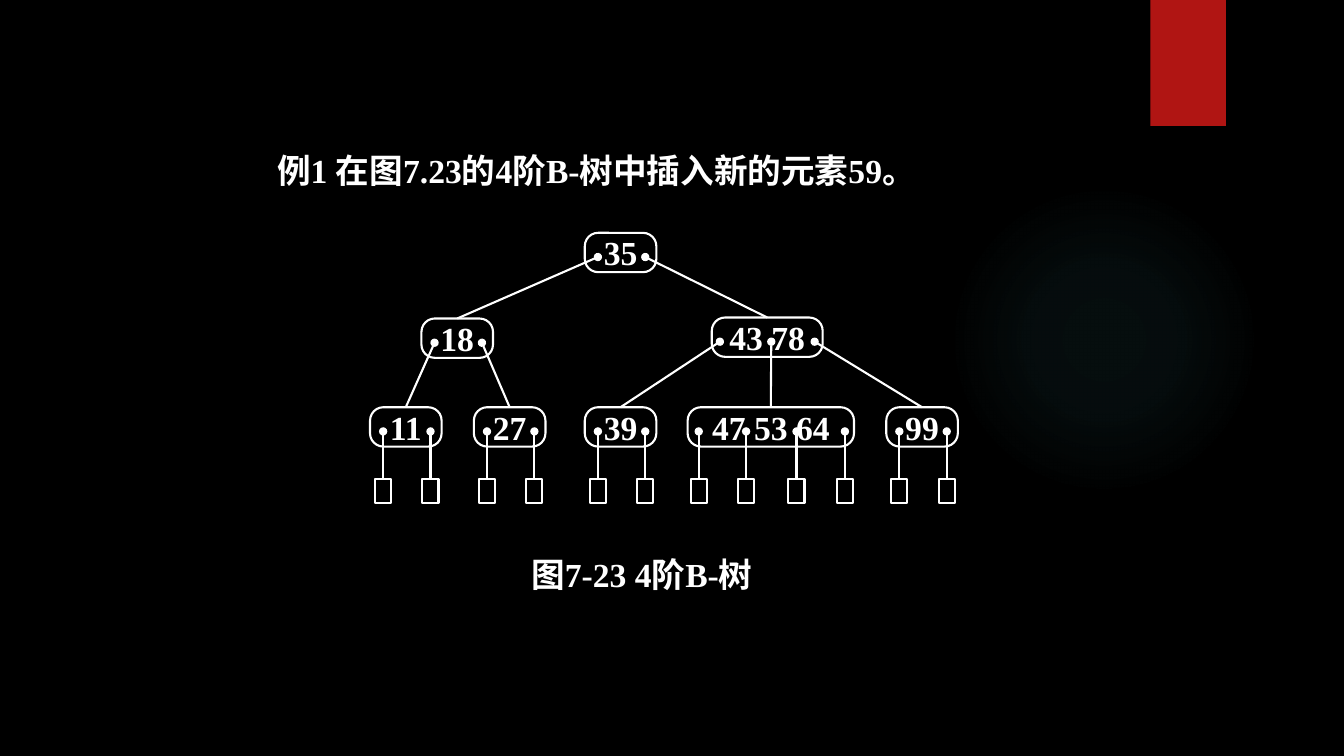
"""Build a slide showing a 4th-order B-tree before inserting the element 59."""
from lxml import etree
from pptx import Presentation
from pptx import util as u
from pptx.dml.color import RGBColor
from pptx.enum import shapes, text
from pptx.oxml import ns

TITLE = "例1 在图7.23的4阶B-树中插入新的元素59。"
CAPTION = "图7-23 4阶B-树"
WHITE, BLACK, RED, GLOW = "FFFFFF", "000000", "B01513", "50B9C1"
GLOW_STOPS = [(0, 7), (36, 6), (69, 0), (100, 0)]

NODES = {
    "root": (5.8, 2.31, ["35"]),
    "left": (4.18, 3.16, ["18"]),
    "right": (7.06, 3.15, ["43", "78"]),
    "leaf11": (3.67, 4.04, ["11"]),
    "leaf27": (4.7, 4.04, ["27"]),
    "leaf39": (5.8, 4.04, ["39"]),
    "leaf47": (6.82, 4.04, ["47", "53", "64"]),
    "leaf99": (8.79, 4.04, ["99"]),
}
CHILDREN = {
    "root": ["left", "right"],
    "left": ["leaf11", "leaf27"],
    "right": ["leaf39", "leaf47", "leaf99"],
}
WIDTHS = {1: 0.71, 2: 1.1, 3: 1.65}
POINTERS = {1: (0.13, 0.6), 2: (0.08, 0.59, 1.02), 3: (0.11, 0.58, 1.08, 1.56)}
NODE_H, POINTER_DROP = 0.39, 0.24
NULL_W, NULL_H, NULL_TOP = 0.16, 0.24, 4.75

prs = Presentation()
prs.slide_width, prs.slide_height = u.Inches(13.33), u.Inches(7.5)
s = prs.slides.add_slide(prs.slide_layouts[6])


def color(hex_code):
    return RGBColor.from_string(hex_code)


def inches(*lengths):
    return [u.Inches(n) for n in lengths]


def write(sp, words, size=24, font="Times New Roman", fill=WHITE, align=None):
    p = sp.text_frame.paragraphs[0]
    p.alignment = align
    r = p.add_run()
    r.text = words
    r.font.size, r.font.name, r.font.bold = u.Pt(size), font, True
    r.font.color.rgb = color(fill)


def text_box(words, *box):
    sp = s.shapes.add_textbox(*inches(*box))
    sp.text_frame.word_wrap = True
    sp.text_frame.auto_size = text.MSO_AUTO_SIZE.SHAPE_TO_FIT_TEXT
    write(sp, words)


def shape(kind, *box, fill=None, line=None):
    sp = s.shapes.add_shape(kind, *inches(*box))
    sp.shadow.inherit = False
    if fill:
        sp.fill.solid()
        sp.fill.fore_color.rgb = color(fill)
    else:
        sp.fill.background()
    if line:
        sp.line.color.rgb = color(line)
        sp.line.width = u.Pt(1.5)
    else:
        sp.line.fill.background()
    return sp


def pointer(*ends):
    c = s.shapes.add_connector(shapes.MSO_CONNECTOR.STRAIGHT, *inches(*ends))
    c.line.color.rgb = color(WHITE)
    c.line.width = u.Pt(1.5)
    etree.SubElement(c.line._get_or_add_ln(), ns.qn("a:headEnd"), type="oval")
    etree.SubElement(c._element.spPr, ns.qn("a:effectLst"))


def glow(*box):
    sp = shape(shapes.MSO_SHAPE.OVAL, *box)
    old = sp._element.spPr.find(ns.qn("a:noFill"))
    grad = etree.Element(ns.qn("a:gradFill"), rotWithShape="1")
    stops = etree.SubElement(grad, ns.qn("a:gsLst"))
    for pos, alpha in GLOW_STOPS:
        gs = etree.SubElement(stops, ns.qn("a:gs"), pos=str(pos * 1000))
        clr = etree.SubElement(gs, ns.qn("a:srgbClr"), val=GLOW)
        etree.SubElement(clr, ns.qn("a:alpha"), val=str(alpha * 1000))
    way = etree.SubElement(grad, ns.qn("a:path"), path="circle")
    etree.SubElement(way, ns.qn("a:fillToRect"),
                     l="50000", t="50000", r="50000", b="50000")
    old.getparent().replace(old, grad)


def node(left, top, keys):
    sp = shape(shapes.MSO_SHAPE.ROUNDED_RECTANGLE,
               left, top, WIDTHS[len(keys)], NODE_H, line=WHITE)
    sp.adjustments[0] = 0.34
    tf = sp.text_frame
    tf.word_wrap = False
    tf.vertical_anchor = text.MSO_ANCHOR.MIDDLE
    tf.margin_left = tf.margin_right = tf.margin_top = tf.margin_bottom = 0
    write(sp, " ".join(keys), align=text.PP_ALIGN.CENTER)


def branches(name):
    left, top, keys = NODES[name]
    for i, offset in enumerate(POINTERS[len(keys)]):
        x, y = left + offset, top + POINTER_DROP
        if name in CHILDREN:
            child_left, child_top, child_keys = NODES[CHILDREN[name][i]]
            pointer(x, y, child_left + WIDTHS[len(child_keys)] / 2, child_top)
        else:
            shape(shapes.MSO_SHAPE.RECTANGLE,
                  x - NULL_W / 2, NULL_TOP, NULL_W, NULL_H, line=WHITE)
            pointer(x, y, x, NULL_TOP)


def main():
    s.background.fill.solid()
    s.background.fill.fore_color.rgb = color(BLACK)
    glow(9.41, 1.83, 3.08, 3.08)
    shape(shapes.MSO_SHAPE.RECTANGLE, 11.41, 0, 0.75, 1.25, fill=RED)
    text_box(TITLE, 2.65, 1.44, 7.01, 0.5)
    for place in NODES.values():
        node(*place)
    for name in NODES:
        branches(name)
    text_box(CAPTION, 5.17, 5.45, 2.52, 0.5)
    prs.save("out.pptx")


if __name__ == "__main__":
    main()
